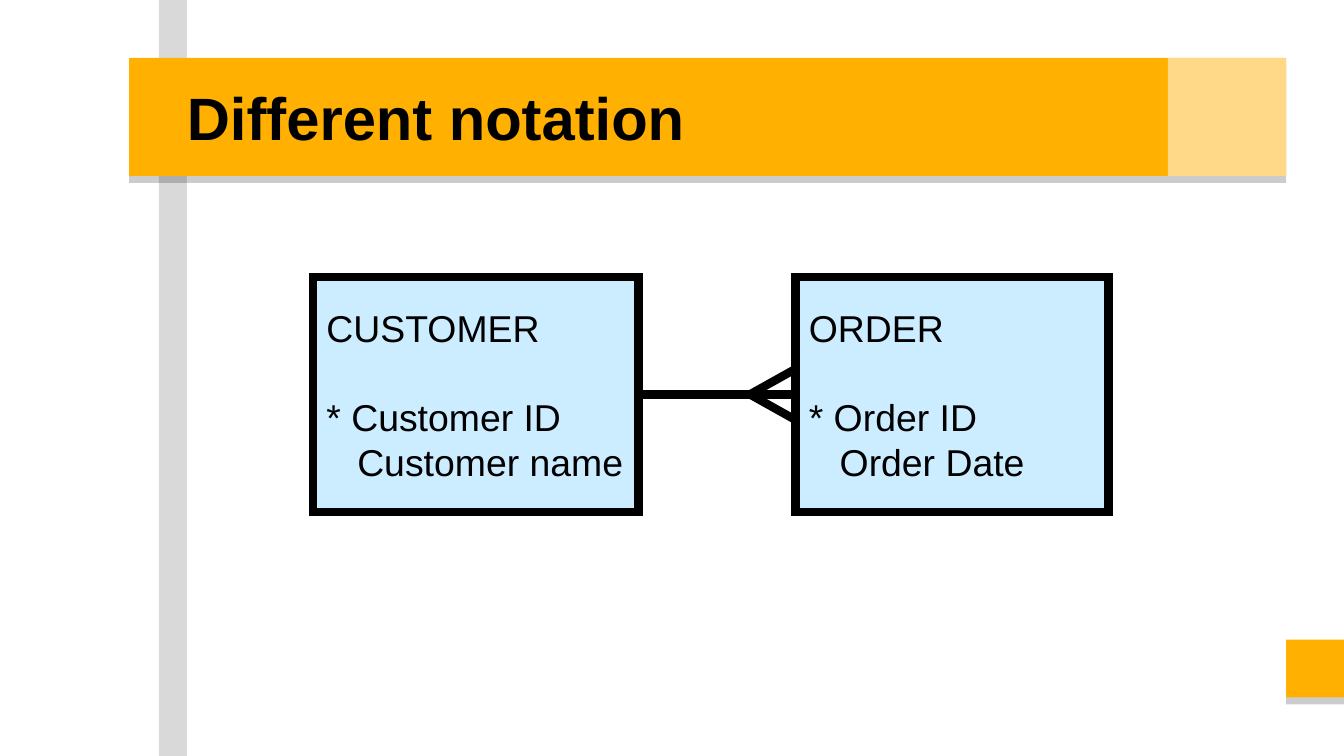
from lxml import etree
from pptx import Presentation
from pptx.dml.color import RGBColor
from pptx.enum.shapes import MSO_CONNECTOR as CONN, MSO_SHAPE as SHAPE
from pptx.enum.text import MSO_ANCHOR as ANCHOR, PP_ALIGN as ALIGN
from pptx.oxml.ns import qn
from pptx.util import Inches, Pt

BLACK, WHITE, GOLD, PALE = "000000", "FFFFFF", "FFB000", "CCECFF"
WIDE = 10
TALL = WIDE * 9 / 16
TITLE = "Different notation"
# box, fill, opacity %, shadow (opacity %, distance in points, angle)
BARS = [
    ((1.39, 0, 8.61, TALL), WHITE, 100, (15, 15, 180)),
    ((9.57, 4.76, 0.43, 0.43), GOLD, 100, (20, 3.7, 90)),
    ((0.96, 0.43, 8.61, 0.88), GOLD, 100, (20, 3.7, 90)),
    ((8.69, 0.43, 0.88, 0.88), WHITE, 53, None),
]
# left, width, name, key, attribute
ENTITIES = [
    (2.33, 2.42, "CUSTOMER", "* Customer ID", "Customer name"),
    (5.92, 2.33, "ORDER", "* Order ID", "Order Date"),
]
TOP, HIGH = 2.06, 1.75
FOOT_LEN, FOOT_RISE = 0.34, 0.19


def color(code):
    return RGBColor.from_string(code)


def set_alpha(node, pct):
    etree.SubElement(node, qn("a:alpha"), val=str(pct * 1000))


def add_rect(box, fill):
    rect = slide.shapes.add_shape(SHAPE.RECTANGLE, *map(Inches, box))
    rect.shadow.inherit = False
    rect.fill.solid()
    rect.fill.fore_color.rgb = color(fill)
    rect.line.fill.background()
    return rect


def add_shadow(rect, pct, dist, angle):
    effects = rect._element.spPr.find(qn("a:effectLst"))
    outer = etree.SubElement(effects, qn("a:outerShdw"), blurRad="0",
                             dist=str(Pt(dist)), dir=str(angle * 60000),
                             algn="ctr", rotWithShape="0")
    set_alpha(etree.SubElement(outer, qn("a:srgbClr"), val=BLACK), pct)


def style(para, size, bold=False):
    para.alignment = ALIGN.LEFT
    font = para.font
    font.name, font.size, font.bold = "Arial", Pt(size), bold
    font.color.rgb = color(BLACK)


def set_line(shape):
    shape.line.color.rgb = color(BLACK)
    shape.line.width = Pt(4.5)
    node = shape._element.spPr.find(qn("a:ln"))
    etree.SubElement(node, qn("a:miter"), lim="800000")


def add_entity(left, width, name, key, attr):
    rect = add_rect((left, TOP, width, HIGH), PALE)
    set_line(rect)
    frame = rect.text_frame
    frame.word_wrap = True
    frame.vertical_anchor = ANCHOR.MIDDLE
    frame.margin_right = 0
    frame.text = "\n".join((name, key, attr))
    for para in frame.paragraphs:
        style(para, 20)
    frame.paragraphs[1].space_before = Pt(24)
    frame.paragraphs[2]._p.get_or_add_pPr().set("marL", str(Inches(0.23)))
    return rect


def add_line(x1, y1, x2, y2):
    line = slide.shapes.add_connector(CONN.STRAIGHT,
                                      *map(Inches, (x1, y1, x2, y2)))
    set_line(line)
    etree.SubElement(line._element.spPr, qn("a:effectLst"))
    return line


deck = Presentation()
deck.slide_width, deck.slide_height = Inches(WIDE), Inches(TALL)
slide = deck.slides.add_slide(deck.slide_layouts[5])

for box, fill, pct, shade in BARS:
    bar = add_rect(box, fill)
    if pct < 100:
        set_alpha(bar._element.spPr.find(".//" + qn("a:srgbClr")), pct)
    if shade:
        add_shadow(bar, *shade)

title = slide.shapes.title
slide.shapes._spTree.append(title._element)  # in front of the bars
title.left, title.top, title.width, title.height = map(
    Inches, (1.29, 0.43, 7.37, 0.88))
frame = title.text_frame
frame.text = TITLE
frame.vertical_anchor = ANCHOR.MIDDLE
frame.margin_left = frame.margin_right = Inches(0.1)
frame.margin_top = frame.margin_bottom = Inches(0.1)
style(frame.paragraphs[0], 32, True)

one, many = [add_entity(*entity) for entity in ENTITIES]
mid = TOP + HIGH / 2
end = ENTITIES[1][0]
link = add_line(ENTITIES[0][0] + ENTITIES[0][1], mid, end, mid)
link.begin_connect(one, 3)
link.end_connect(many, 1)
for rise in (-FOOT_RISE, FOOT_RISE):
    add_line(end - FOOT_LEN, mid, end, mid + rise)

deck.save("out.pptx")
